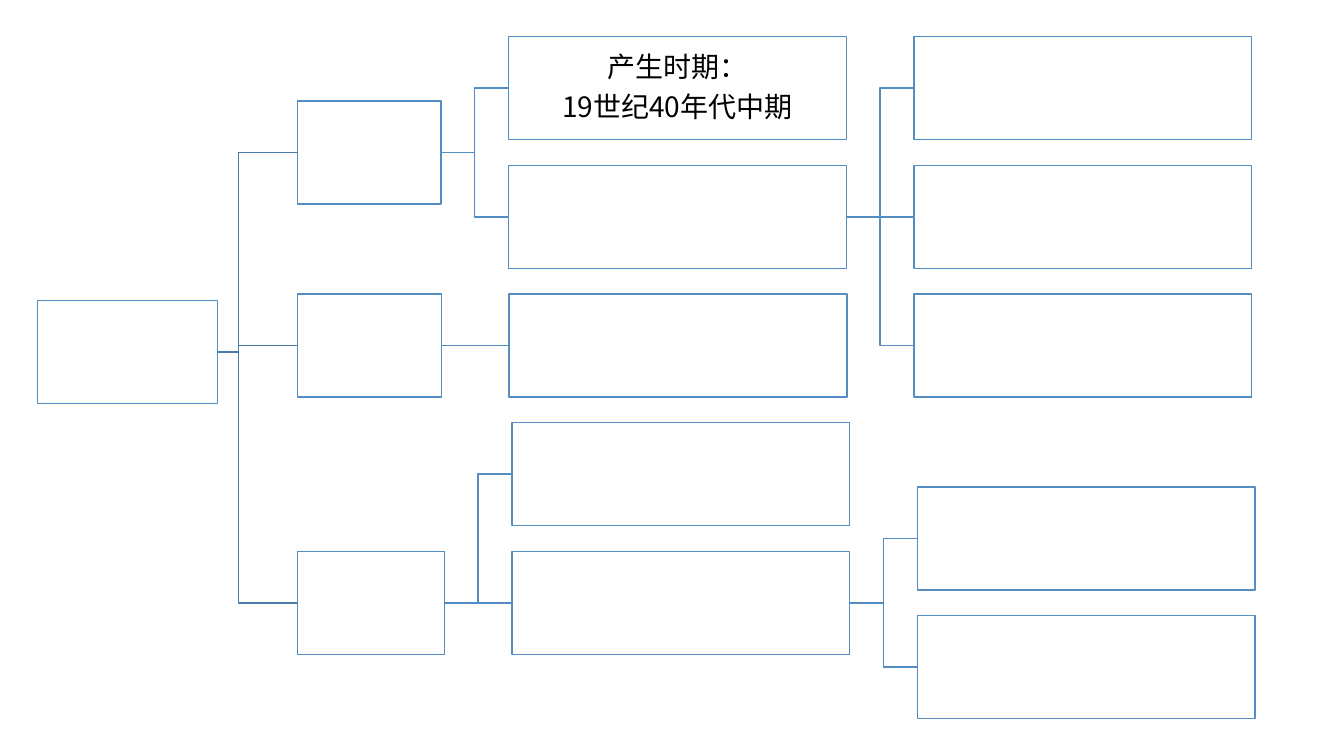
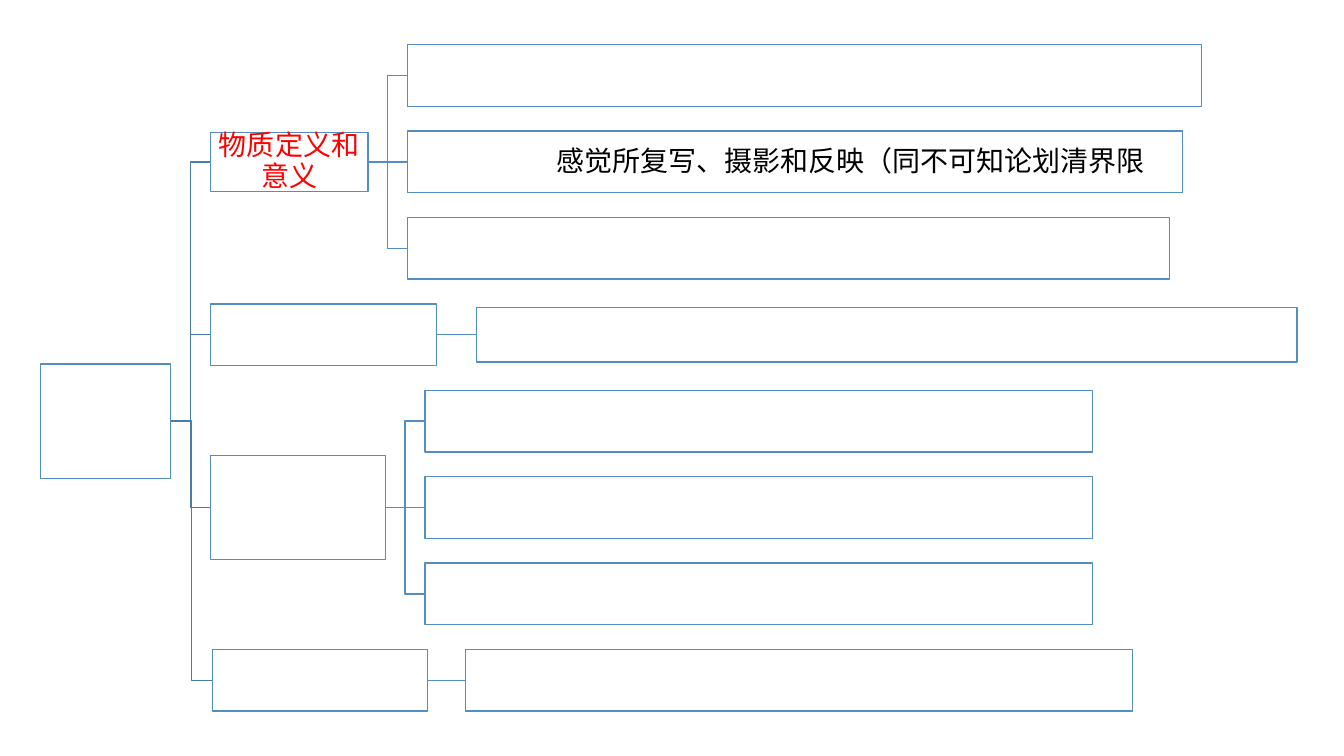
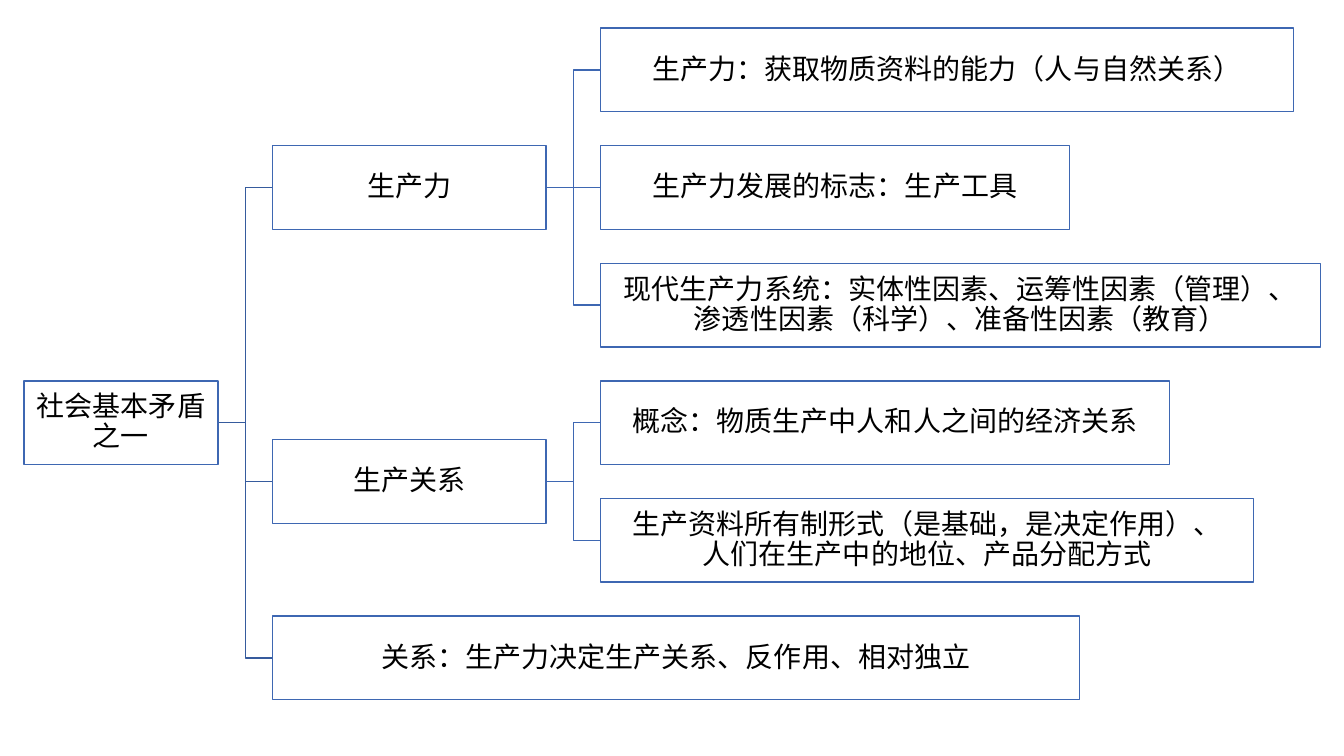
from dataclasses import dataclass, field
from typing import Iterator, Optional

import lxml.etree
import pptx
import pptx.dml.color
import pptx.enum.shapes
import pptx.enum.text
import pptx.oxml.ns
import pptx.slide
import pptx.util

Pt = pptx.util.Pt
RGBColor = pptx.dml.color.RGBColor

WHITE = RGBColor(0xFF, 0xFF, 0xFF)
BLACK = RGBColor(0x00, 0x00, 0x00)
RED = RGBColor(0xFF, 0x00, 0x00)
SKY = RGBColor(0x53, 0x8D, 0xC1)
STEEL = RGBColor(0x49, 0x7C, 0xAB)
BLUE = RGBColor(0x3E, 0x67, 0xB2)
NAVY = RGBColor(0x36, 0x5B, 0x9D)

FONT = "Noto Sans CJK SC"
FONT_SIZE = 20
LINE_WIDTH = 1
INSET = 0.72


@dataclass
class Node:
    row: float
    width: float
    text: str = ""
    children: list["Node"] = field(default_factory=list)
    height: Optional[float] = None
    gap: Optional[float] = None
    color: RGBColor = BLACK
    indent: float = INSET


@dataclass
class Tree:
    root: Node
    first_center: float
    pitch: float
    height: float
    gap: float
    line: RGBColor
    trunk: RGBColor
    trunk_overlap: float = 0


@dataclass
class Placed:
    node: Node
    left: float
    center: float
    parent: Optional["Placed"]

    @property
    def right(self) -> float:
        return self.left + self.node.width


def place(tree: Tree, node: Node, parent: Optional[Placed] = None) -> Iterator[Placed]:
    gap = tree.gap if node.gap is None else node.gap
    left = gap + (parent.right if parent else 0)
    placed = Placed(node, left, tree.first_center + node.row * tree.pitch, parent)
    yield placed
    for child in node.children:
        yield from place(tree, child, placed)


def draw_link(page: pptx.slide.Slide, tree: Tree, placed: Placed) -> None:
    parent = placed.parent
    if parent is None:
        return
    is_trunk = parent.node is tree.root
    start = parent.right - (tree.trunk_overlap if is_trunk else 0)
    kinds = pptx.enum.shapes.MSO_CONNECTOR
    kind = kinds.STRAIGHT if parent.center == placed.center else kinds.ELBOW
    link = page.shapes.add_connector(
        kind, Pt(start), Pt(parent.center), Pt(placed.left), Pt(placed.center)
    )
    link.line.color.rgb = tree.trunk if is_trunk else tree.line
    link.line.width = Pt(LINE_WIDTH)
    lxml.etree.SubElement(link._element.spPr, pptx.oxml.ns.qn("a:effectLst"))


def draw_box(page: pptx.slide.Slide, tree: Tree, placed: Placed) -> None:
    node = placed.node
    height = node.height or tree.height
    box = page.shapes.add_shape(
        pptx.enum.shapes.MSO_SHAPE.RECTANGLE,
        Pt(placed.left),
        Pt(placed.center - height / 2),
        Pt(node.width),
        Pt(height),
    )
    box.shadow.inherit = False
    box.fill.solid()
    box.fill.fore_color.rgb = WHITE
    box.line.color.rgb = tree.line
    box.line.width = Pt(LINE_WIDTH)
    if not node.text:
        return
    frame = box.text_frame
    frame.word_wrap = True
    frame.vertical_anchor = pptx.enum.text.MSO_ANCHOR.MIDDLE
    frame.margin_left = Pt(node.indent)
    frame.margin_right = frame.margin_top = frame.margin_bottom = Pt(INSET)
    frame.text = node.text
    for paragraph in frame.paragraphs:
        paragraph.alignment = pptx.enum.text.PP_ALIGN.CENTER
        paragraph.line_spacing = 0.9
        paragraph.space_after = Pt(7)
        font = paragraph.font
        font.name = FONT
        font.size = Pt(FONT_SIZE)
        font.color.rgb = node.color
        defaults = paragraph._p.pPr.find(pptx.oxml.ns.qn("a:defRPr"))
        lxml.etree.SubElement(defaults, pptx.oxml.ns.qn("a:ea"), typeface=FONT)


def draw_tree(page: pptx.slide.Slide, tree: Tree) -> None:
    boxes = list(place(tree, tree.root))
    for placed in reversed(boxes):
        draw_link(page, tree, placed)
    for placed in boxes:
        draw_box(page, tree, placed)


def origins_tree() -> Tree:
    wide = 241.4
    conditions = [Node(row, wide) for row in range(3)]
    consequences = [Node(row, wide) for row in (3.5, 4.5)]
    period = Node(0, wide, "产生时期：\n19世纪40年代中期")
    branches = [
        Node(0.5, 102.4, children=[period, Node(1, wide, children=conditions)], gap=57),
        Node(2, 102.8, children=[Node(2, wide)], gap=57),
        Node(
            4,
            104.8,
            children=[Node(3, wide), Node(4, wide, children=consequences)],
            gap=57,
        ),
    ]
    root = Node(2.05, 128.8, children=branches, gap=26.8)
    return Tree(root, 63, 91.9, 73.6, 48.2, SKY, STEEL, trunk_overlap=27.4)


def matter_tree() -> Tree:
    reflection = Node(1, 553.6, "感觉所复写、摄影和反映（同不可知论划清界限", indent=80)
    definition = Node(
        1,
        112.6,
        "物质定义和意义",
        [Node(0, 567.2), reflection, Node(2, 544.4)],
        height=42,
        color=RED,
    )
    branches = [
        definition,
        Node(3, 161.8, children=[Node(3, 586.2, height=39)]),
        Node(5, 125, children=[Node(row, 476.6) for row in (4, 5, 6)], height=74),
        Node(7, 153.4, children=[Node(7, 476.6, gap=27.4)], gap=30),
    ]
    root = Node(4, 93, children=branches, height=81.6, gap=28.8)
    return Tree(root, 54, 61.7, 44, 28.4, SKY, STEEL)


def society_tree() -> Tree:
    forces = [
        Node(0, 494.8, "生产力：获取物质资料的能力（人与自然关系）"),
        Node(1, 334.8, "生产力发展的标志：生产工具"),
        Node(
            2,
            514.2,
            "现代生产力系统：实体性因素、运筹性因素（管理）、\v"
            "渗透性因素（科学）、准备性因素（教育）",
        ),
    ]
    relations = [
        Node(3, 406.4, "概念：物质生产中人和人之间的经济关系"),
        Node(
            4,
            466.6,
            "生产资料所有制形式（是基础，是决定作用）、\v"
            "人们在生产中的地位、产品分配方式",
        ),
    ]
    branches = [
        Node(1, 195.4, "生产力", forces),
        Node(3.5, 195.4, "生产关系", relations),
        Node(5, 576.2, "关系：生产力决定生产关系、反作用、相对独立"),
    ]
    root = Node(3, 138.8, "社会基本矛盾之一", branches, gap=17)
    return Tree(root, 50, 84, 59.8, 38.9, BLUE, NAVY)


def main() -> None:
    deck = pptx.Presentation()
    deck.slide_width = Pt(960)
    deck.slide_height = Pt(540)
    blank = deck.slide_layouts[6]
    for tree in (origins_tree(), matter_tree(), society_tree()):
        draw_tree(deck.slides.add_slide(blank), tree)
    deck.save("out.pptx")


if __name__ == "__main__":
    main()
